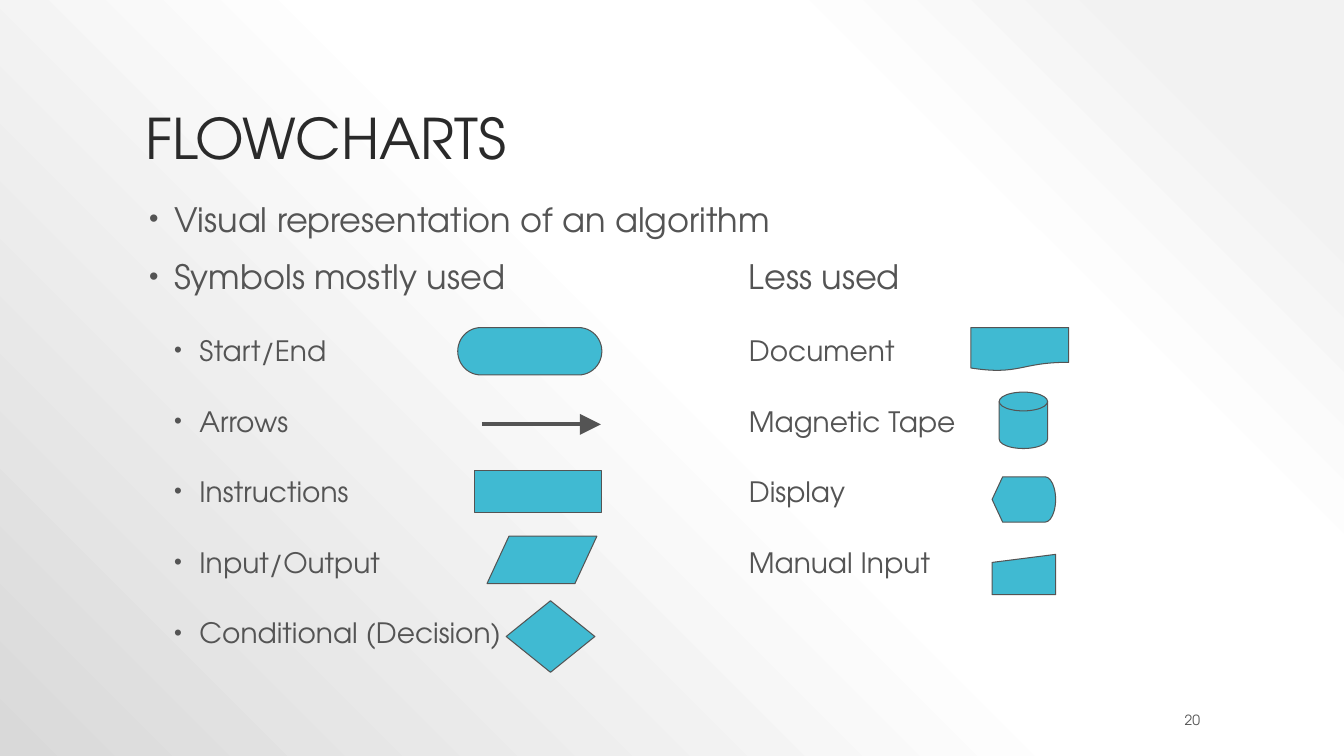
"""Build the slide that introduces flowchart symbols."""
from lxml.etree import SubElement
from pptx import Presentation
from pptx.dml.color import RGBColor
from pptx.enum.shapes import MSO_CONNECTOR, MSO_SHAPE
from pptx.enum.text import MSO_ANCHOR, PP_ALIGN
from pptx.oxml import parse_xml
from pptx.oxml.ns import nsdecls, qn
from pptx.util import Inches, Pt

COLOURS = {"title": "2A2A2A", "text": "545454", "symbol": "40BAD2",
           "pale": "F2F2F2", "white": "FFFFFF", "grey": "D9D9D9"}
BACKDROP = [(10, "pale"), (28, "white"), (48, "white"), (100, "grey")]

MOSTLY_USED = [("Visual representation of an algorithm", 0),
               ("Symbols mostly used", 0), ("Start/End", 1), ("Arrows", 1),
               ("Instructions", 1), ("Input/Output", 1),
               ("Conditional (Decision)", 1)]
LESS_USED = [("Less used", 0), ("Document", 1), ("Magnetic Tape", 1),
             ("Display", 1), ("Manual Input", 1)]
SYMBOLS = [
    (MSO_SHAPE.FLOWCHART_PROCESS, 4.71, 4.67, 1.26, 0.41),
    (MSO_SHAPE.FLOWCHART_TERMINATOR, 4.54, 3.25, 1.43, 0.47),
    (MSO_SHAPE.FLOWCHART_DATA, 4.83, 5.32, 1.09, 0.47),
    (MSO_SHAPE.FLOWCHART_DECISION, 5.02, 5.96, 0.88, 0.71),
    (MSO_SHAPE.FLOWCHART_DOCUMENT, 9.63, 3.25, 0.97, 0.43),
    (MSO_SHAPE.FLOWCHART_MAGNETIC_DISK, 9.91, 3.89, 0.48, 0.56),
    (MSO_SHAPE.FLOWCHART_DISPLAY, 9.84, 4.73, 0.63, 0.45),
    (MSO_SHAPE.FLOWCHART_MANUAL_INPUT, 9.84, 5.5, 0.63, 0.4),
]


class SlideBuilder:
    font = "TeX Gyre Adventor"
    level_sizes = (24, 20)
    level_gaps = (18, 31.2)
    level_indents = (0.3, 0.55)

    def __init__(self, page):
        self.page = page

    def colour(self, name):
        return RGBColor.from_string(COLOURS[name])

    def background(self, stops):
        marks = "".join(
            f'<a:gs pos="{place * 1000}"><a:srgbClr val="{COLOURS[name]}"/></a:gs>'
            for place, name in stops)
        self.page.element.cSld.insert(0, parse_xml(
            f'<p:bg {nsdecls("p", "a")}><p:bgPr><a:gradFill rotWithShape="1">'
            f'<a:gsLst>{marks}</a:gsLst><a:path path="circle">'
            '<a:fillToRect l="100000" b="100000"/></a:path></a:gradFill>'
            '<a:effectLst/></p:bgPr></p:bg>'))

    def frame(self, left, top, width, height, anchor):
        box = self.page.shapes.add_textbox(
            Inches(left), Inches(top), Inches(width), Inches(height))
        box.text_frame.word_wrap = True
        box.text_frame.vertical_anchor = anchor
        return box.text_frame

    def style(self, para, size, colour):
        for span in para.runs:
            span.font.name = self.font
            span.font.size = Pt(size)
            span.font.color.rgb = self.colour(colour)

    def label(self, text, area, size, colour, anchor, align=PP_ALIGN.LEFT):
        frame = self.frame(*area, anchor)
        frame.text = text
        para = frame.paragraphs[0]
        para.alignment = align
        para.line_spacing = 0.9
        self.style(para, size, colour)

    def column(self, rows, area, bulleted):
        frame = self.frame(*area, MSO_ANCHOR.TOP)
        frame.text = "\n".join(text for text, level in rows)
        for para, (text, level) in zip(frame.paragraphs, rows):
            para.line_spacing = 0.8
            para.space_before = Pt(self.level_gaps[level])
            self.style(para, self.level_sizes[level], "text")
            if bulleted:
                para.level = level
                self.bullet(para, self.level_indents[level])

    def bullet(self, para, indent):
        properties = para._p.get_or_add_pPr()
        properties.set("marL", str(Inches(indent)))
        properties.set("indent", str(Inches(-0.25)))
        tint = SubElement(properties, qn("a:buClr"))
        SubElement(tint, qn("a:srgbClr"), val=COLOURS["text"])
        SubElement(properties, qn("a:buSzPct"), val="80000")
        SubElement(properties, qn("a:buFont"), typeface="Arial")
        SubElement(properties, qn("a:buChar"), char="•")

    def symbol(self, kind, left, top, width, height):
        shape = self.page.shapes.add_shape(
            kind, Inches(left), Inches(top), Inches(width), Inches(height))
        shape.shadow.inherit = False
        shape.fill.solid()
        shape.fill.fore_color.rgb = self.colour("symbol")
        shape.line.color.rgb = self.colour("text")
        shape.line.width = Pt(0.75)

    def arrow(self, left, right, height):
        arrow = self.page.shapes.add_connector(
            MSO_CONNECTOR.STRAIGHT, Inches(left), Inches(height),
            Inches(right), Inches(height))
        arrow.line.color.rgb = self.colour("text")
        arrow.line.width = Pt(3)
        SubElement(arrow.line._get_or_add_ln(), qn("a:tailEnd"),
                   type="triangle", w="lg", len="lg")
        SubElement(arrow._element.spPr, qn("a:effectLst"))


def main():
    deck = Presentation()
    deck.slide_width, deck.slide_height = Inches(13.33), Inches(7.5)
    builder = SlideBuilder(deck.slides.add_slide(deck.slide_layouts[6]))
    builder.background(BACKDROP)
    builder.label("FLOWCHARTS", (1.34, 0.3, 10.67, 1.45), 40, "title",
                  MSO_ANCHOR.BOTTOM)
    builder.column(MOSTLY_USED, (1.33, 2, 10.67, 4.75), True)
    builder.column(LESS_USED, (7.33, 2.57, 2.4, 3.5), False)
    builder.arrow(4.78, 5.96, 4.21)
    for symbol in SYMBOLS:
        builder.symbol(*symbol)
    builder.label("20", (10.75, 7.05, 1.25, 0.2), 10, "text",
                  MSO_ANCHOR.MIDDLE, PP_ALIGN.RIGHT)
    deck.save("out.pptx")


if __name__ == "__main__":
    main()
